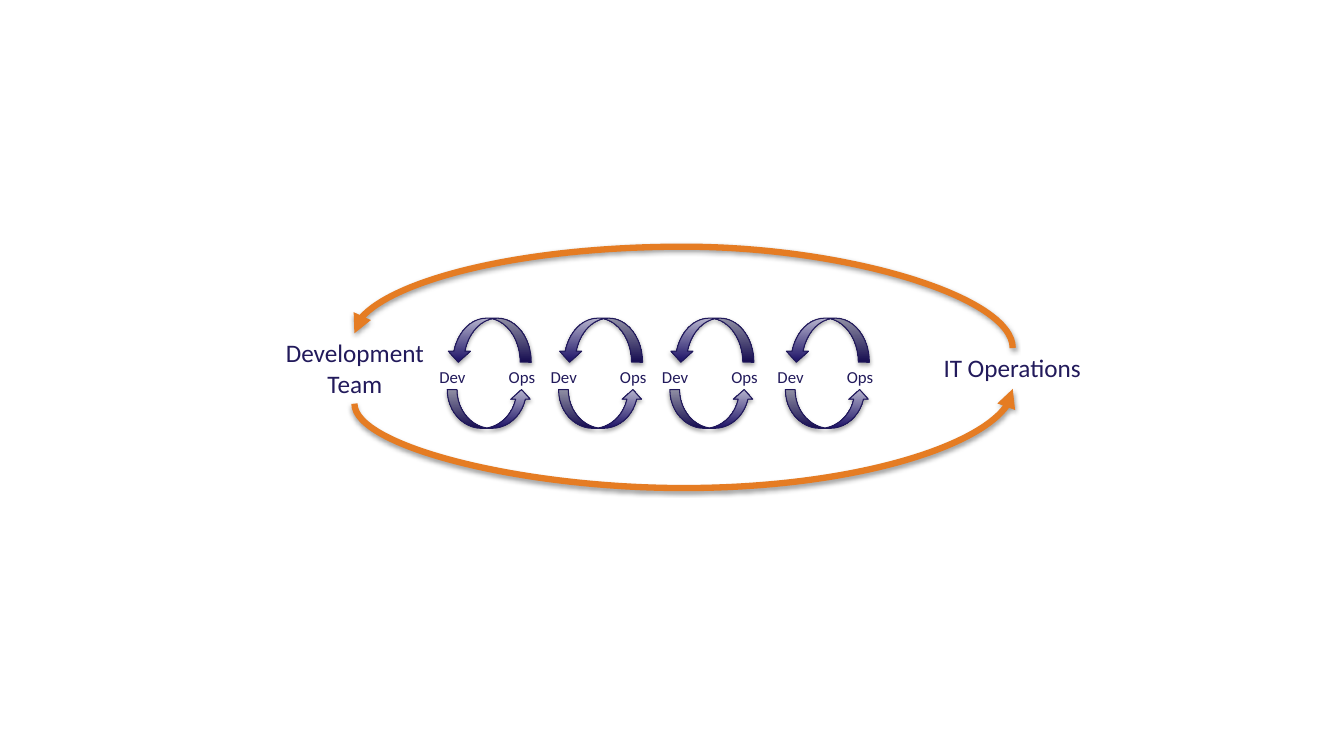
from dataclasses import dataclass

from lxml import etree
from pptx import Presentation
from pptx.dml.color import RGBColor
from pptx.enum.shapes import MSO_CONNECTOR, MSO_SHAPE
from pptx.enum.text import MSO_AUTO_SIZE, PP_ALIGN
from pptx.oxml import parse_xml
from pptx.oxml.ns import qn
from pptx.util import Emu, Pt

CURVE = MSO_CONNECTOR.CURVE
DOWN_ARROW = MSO_SHAPE.CURVED_DOWN_ARROW
UP_ARROW = MSO_SHAPE.CURVED_UP_ARROW
FIT_SHAPE = MSO_AUTO_SIZE.SHAPE_TO_FIT_TEXT
CENTER, LEFT = PP_ALIGN.CENTER, PP_ALIGN.LEFT

FONT = "Calibri"
DRAWING_NS = "http://schemas.openxmlformats.org/drawingml/2006/main"
COLORS = {
    "text": "221A5B",
    "loop": "E57C23",
    "arrow_dark": "1B1065",
    "arrow_light": "B6B4CD",
    "arrow_line": "20185B",
    "shadow": "000000",
}


@dataclass(frozen=True)
class Label:
    text: str
    x: int
    y: int
    w: int
    h: int
    size: int
    align: PP_ALIGN
    wrap: bool


@dataclass(frozen=True)
class Loop:
    begin: tuple[int, int]
    end: tuple[int, int]
    degrees: int
    bend: int


@dataclass(frozen=True)
class CycleArrow:
    kind: MSO_SHAPE
    y: int
    h: int
    mirrored: bool


TEAMS = (
    Label("Development\nTeam", 260, 317, 156, 68, 18, CENTER, True),
    Label("IT Operations", 886, 331, 156, 38, 18, CENTER, True),
)
LOOPS = (
    Loop((658, 691), (644, 64), 90, -575000),
    Loop((644, 638), (658, 11), 270, 690000),
)
CYCLE_ARROWS = (
    CycleArrow(DOWN_ARROW, 303, 42, True),
    CycleArrow(UP_ARROW, 371, 37, False),
)
CYCLE_LEFTS = (409, 515, 621, 731)
ARROW_OFFSET, ARROW_WIDTH = 17, 80
CYCLE_LABELS = (("Ops", 66), ("Dev", 0))


def px(n: int) -> Emu:
    return Emu(n * 9525)


def rgb(name: str) -> RGBColor:
    return RGBColor.from_string(COLORS[name])


def add_shadow(sp, dist: int, alpha: int) -> None:
    sp._element.spPr.append(parse_xml(
        f'<a:effectLst xmlns:a="{DRAWING_NS}">'
        f'<a:outerShdw blurRad="40000" dist="{dist}" dir="5400000" rotWithShape="0">'
        f'<a:srgbClr val="{COLORS["shadow"]}"><a:alpha val="{alpha}"/></a:srgbClr>'
        '</a:outerShdw></a:effectLst>'
    ))


def add_label(shapes, label: Label) -> None:
    sp = shapes.add_textbox(px(label.x), px(label.y), px(label.w), px(label.h))
    tf = sp.text_frame
    tf.text = label.text
    tf.word_wrap = label.wrap
    tf.auto_size = FIT_SHAPE
    for p in tf.paragraphs:
        p.alignment = label.align
        for r in p.runs:
            r.font.name = FONT
            r.font.size = Pt(label.size)
            r.font.color.rgb = rgb("text")


def add_loop(shapes, loop: Loop) -> None:
    sp = shapes.add_connector(CURVE, *map(px, loop.begin + loop.end))
    sp.line.color.rgb = rgb("loop")
    sp.line.width = Pt(4.5)
    etree.SubElement(sp.line._get_or_add_ln(), qn("a:tailEnd"), type="triangle")
    sp_pr = sp._element.spPr
    sp_pr.find(qn("a:xfrm")).set("rot", str(loop.degrees * 60000))
    guides = sp_pr.find(qn("a:prstGeom")).find(qn("a:avLst"))
    etree.SubElement(guides, qn("a:gd"), name="adj1", fmla=f"val {loop.bend}")
    add_shadow(sp, 20000, 38000)


def add_cycle_arrow(shapes, arrow: CycleArrow, x: int) -> None:
    sp = shapes.add_shape(arrow.kind, px(x), px(arrow.y), px(ARROW_WIDTH), px(arrow.h))
    sp.fill.gradient()
    sp.fill.gradient_angle = 90
    for stop, name in zip(sp.fill.gradient_stops, ("arrow_dark", "arrow_light")):
        stop.color.rgb = rgb(name)
    sp.line.color.rgb = rgb("arrow_line")
    sp.line.width = Pt(0.75)
    if arrow.mirrored:
        sp._element.spPr.find(qn("a:xfrm")).set("flipH", "1")
    add_shadow(sp, 23000, 35000)


def add_cycle(shapes, left: int) -> None:
    group = shapes.add_group_shape()
    for arrow in CYCLE_ARROWS:
        add_cycle_arrow(group.shapes, arrow, left + ARROW_OFFSET)
    for text, offset in CYCLE_LABELS:
        add_label(group.shapes, Label(text, left + offset, 345, 45, 29, 12, LEFT, False))


def main() -> None:
    prs = Presentation()
    prs.slide_width, prs.slide_height = px(1280), px(720)
    shapes = prs.slides.add_slide(prs.slide_layouts[6]).shapes
    for team in TEAMS:
        add_label(shapes, team)
    for loop in LOOPS:
        add_loop(shapes, loop)
    for left in CYCLE_LEFTS:
        add_cycle(shapes, left)
    prs.save("out.pptx")


if __name__ == "__main__":
    main()
